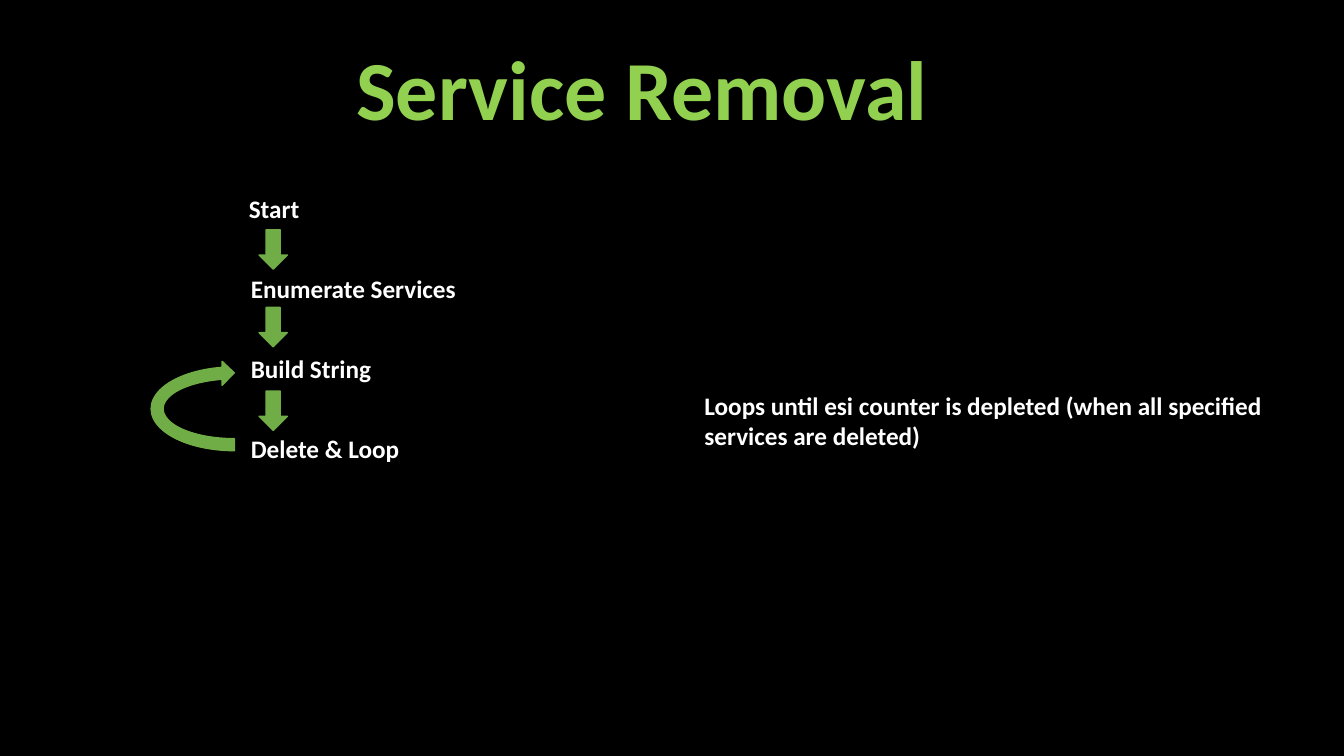
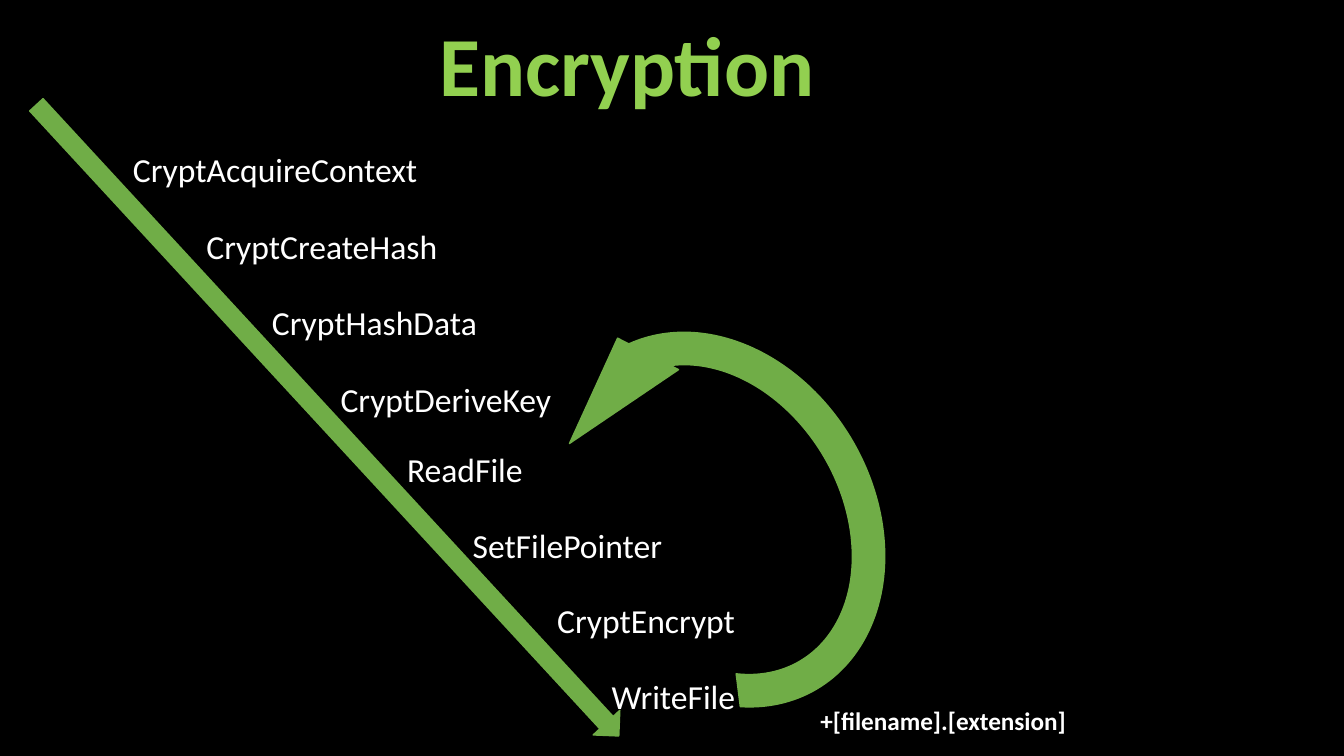
from pptx import Presentation
from pptx.dml.color import RGBColor
from pptx.enum.shapes import MSO_SHAPE
from pptx.enum.text import MSO_ANCHOR, MSO_AUTO_SIZE, PP_ALIGN
from pptx.util import Inches, Pt

BLACK = RGBColor(0x00, 0x00, 0x00)
WHITE = RGBColor(0xFF, 0xFF, 0xFF)
LIME = RGBColor(0x92, 0xD0, 0x50)
GREEN = RGBColor(0x70, 0xAD, 0x47)

CELL = Inches(0.1)
COLS, ROWS = 133.33, 75

TITLE = {"name": "Calibri", "size": Pt(60), "bold": True}
LABEL = {"name": "Calibri", "size": Pt(18), "bold": True}
CALL = {"name": "Calibri", "size": Pt(24), "bold": False}


def grid(*cells):
    return [round(n * CELL) for n in cells]


def write(tf, text, style, color):
    p = tf.paragraphs[0]
    r = p.add_run()
    r.text = text
    for key, value in style.items():
        setattr(r.font, key, value)
    r.font.color.rgb = color
    return p


def add_text(s, box, text, style, wrap=True):
    tf = s.shapes.add_textbox(*grid(*box)).text_frame
    tf.word_wrap = wrap
    tf.auto_size = MSO_AUTO_SIZE.SHAPE_TO_FIT_TEXT
    write(tf, text, style, WHITE)


def add_arrow(s, kind, box, rotation=0):
    sp = s.shapes.add_shape(kind, *grid(*box))
    sp.rotation = rotation
    sp.shadow.inherit = False
    sp.fill.solid()
    sp.fill.fore_color.rgb = GREEN
    sp.line.color.rgb = GREEN
    sp.line.width = Pt(1)
    return sp


def add_slide(prs, title, left, top):
    s = prs.slides.add_slide(prs.slide_layouts[5])
    sp = s.shapes.title
    sp.left, sp.top, sp.width, sp.height = grid(left, top, 100, 11.9)
    tf = sp.text_frame
    tf.word_wrap = True
    tf.auto_size = MSO_AUTO_SIZE.NONE
    tf.vertical_anchor = MSO_ANCHOR.BOTTOM
    p = write(tf, title, TITLE, LIME)
    p.alignment = PP_ALIGN.CENTER
    p.line_spacing = 0.9
    return s


def add_removal_flow(s, x, y, w):
    steps = ["Start", "Enumerate Services", "Build String", "Delete & Loop"]
    for i, step in enumerate(steps):
        indent = 0.2 if i else 0
        add_text(s, (x + indent, y + 7.93 * i, w, 4), step, LABEL)
    for drop in (4.1, 11.8, 20.1):
        add_arrow(s, MSO_SHAPE.DOWN_ARROW, (x + 2, y + drop, 2.8, 3.9))
    add_arrow(s, MSO_SHAPE.CIRCULAR_ARROW, (x - 5.2, y + 13, 9.5, 17.7), 270)


def add_call_staircase(s, x, y, w):
    calls = [
        ("CryptAcquireContext", 0, 0),
        ("CryptCreateHash", 7.3, 7.6),
        ("CryptHashData", 13.8, 15.2),
        ("CryptDeriveKey", 20.6, 22.8),
        ("ReadFile", 27.2, 29.7),
        ("SetFilePointer", 33.7, 37.3),
        ("CryptEncrypt", 42.1, 44.7),
        ("WriteFile", 47.5, 52.3),
    ]
    for call, dx, dy in calls:
        add_text(s, (x + dx, y + dy, w, 5), call, CALL)
    add_arrow(s, MSO_SHAPE.DOWN_ARROW, (x + 18.5, y - 15.2, 3.6, 85.2), 317.3)


def add_file_loop(s, x, y, w, h):
    sp = add_arrow(s, MSO_SHAPE.CIRCULAR_ARROW, (x, y, w, h), 239.6)
    sp._element.spPr.xfrm.set("flipV", "1")
    for i, value in enumerate((0.093, 24.099, 211.267, 94.069, 0.098)):
        sp.adjustments[i] = value
    add_text(s, (x + 30.6, y + 35.3, 26.6, 4), "+[filename].[extension]", LABEL, wrap=False)


def build_service_removal(prs):
    s = add_slide(prs, "Service Removal", 13.7, 2.4)
    add_removal_flow(s, 23.7, 18.7, 23.6)
    note = "Loops until esi counter is depleted (when all specified services are deleted)"
    add_text(s, (68.9, 38.2, 58.1, 7.1), note, LABEL)


def build_encryption(prs):
    s = add_slide(prs, "Encryption", 12.2, 0)
    add_call_staircase(s, 12.2, 14.3, 33.7)
    add_file_loop(s, 49.8, 34.2, 42.6, 34.7)


def main():
    prs = Presentation()
    prs.slide_width, prs.slide_height = grid(COLS, ROWS)
    fill = prs.slide_master.background.fill
    fill.solid()
    fill.fore_color.rgb = BLACK
    build_service_removal(prs)
    build_encryption(prs)
    prs.save("out.pptx")


if __name__ == "__main__":
    main()
